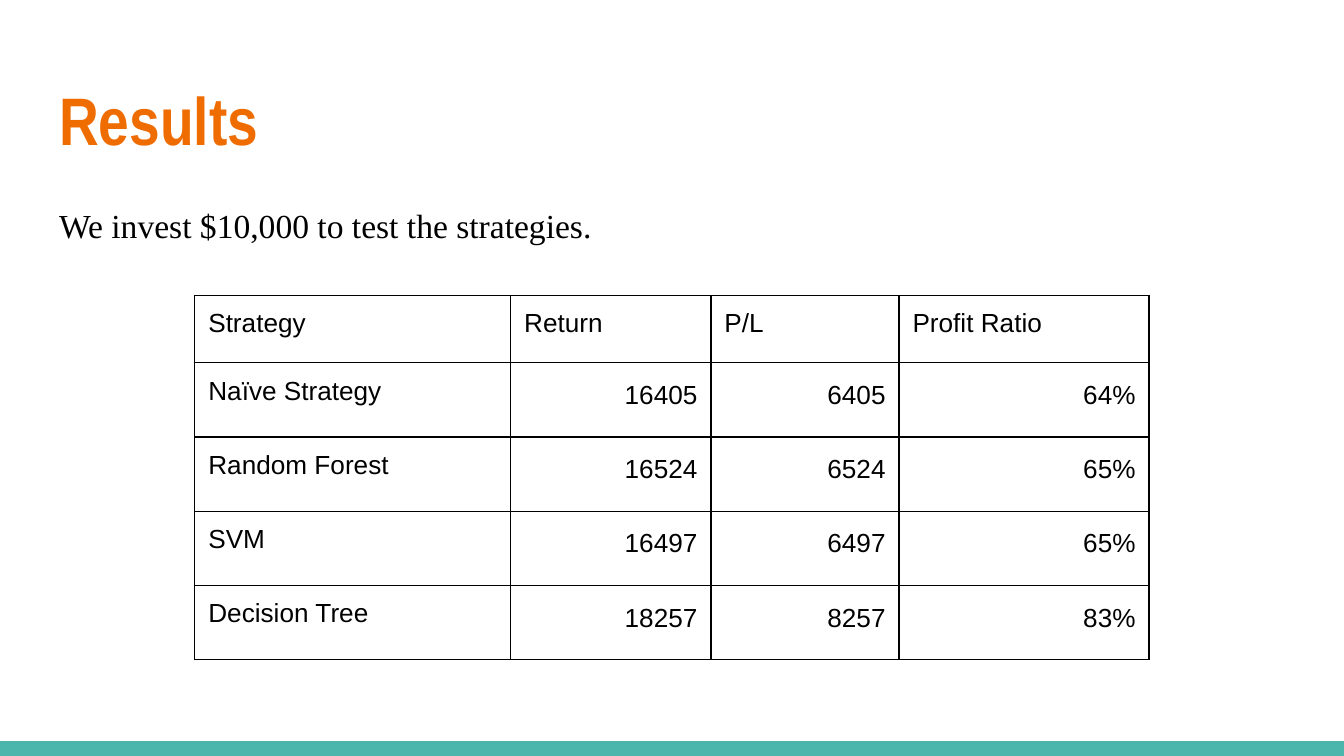
from lxml.etree import SubElement
from pptx import Presentation
from pptx.dml.color import RGBColor
from pptx.enum.shapes import MSO_SHAPE as SHAPE
from pptx.enum.text import MSO_ANCHOR as ANCHOR, PP_ALIGN as ALIGN
from pptx.oxml.ns import qn
from pptx.util import Inches, Pt

ORANGE = RGBColor(0xEF, 0x6C, 0x00)
TEAL = RGBColor(0x4D, 0xB6, 0xAC)
BLACK = RGBColor(0, 0, 0)

TITLE = "Results"
INTRO = "We invest $10,000 to test the strategies."
ROWS = [
    ("Strategy", "Return", "P/L", "Profit Ratio"),
    ("Naïve Strategy", "16405", "6405", "64%"),
    ("Random Forest", "16524", "6524", "65%"),
    ("SVM", "16497", "6497", "65%"),
    ("Decision Tree", "18257", "8257", "83%"),
]
COL_WIDTHS = [2.35, 1.49, 1.4, 1.86]
TABLE_HEIGHT, HEADER_HEIGHT = 2.71, 0.5
WIDTH = 10
HEIGHT = WIDTH * 9 / 16
BAR_HEIGHT = 0.11
PADDING = Inches(0.1)


def set_margins(box):
    """Pad a text frame or a table cell equally on all sides."""
    box.margin_left = box.margin_right = PADDING
    box.margin_top = box.margin_bottom = PADDING


def write(p, text, font, size, color=BLACK, bold=False):
    r = p.add_run()
    r.text = text
    r.font.name, r.font.size, r.font.bold = font, Pt(size), bold
    r.font.color.rgb = color


def place(ph, top, height, anchor):
    """Position a placeholder and return its first paragraph, left aligned."""
    ph.left, ph.top = Inches(0.34), Inches(top)
    ph.width, ph.height = Inches(9.32), Inches(height)
    tf = ph.text_frame
    tf.word_wrap, tf.vertical_anchor = True, anchor
    set_margins(tf)
    p = tf.paragraphs[0]
    p.alignment = ALIGN.LEFT
    p.space_before = Pt(0)
    return p


def add_borders(cell):
    tcPr = cell._tc.get_or_add_tcPr()
    for side in ("a:lnL", "a:lnR", "a:lnT", "a:lnB"):
        ln = SubElement(tcPr, qn(side), w=str(Pt(0.75)))
        fill = SubElement(ln, qn("a:solidFill"))
        SubElement(fill, qn("a:srgbClr"), val=str(BLACK))


def add_results_table(s):
    body_rows = len(ROWS) - 1
    row_height = (TABLE_HEIGHT - HEADER_HEIGHT) / body_rows
    heights = [HEADER_HEIGHT] + [row_height] * body_rows
    table = s.shapes.add_table(
        len(ROWS), len(COL_WIDTHS), Inches(1.45), Inches(2.2),
        Inches(sum(COL_WIDTHS)), Inches(TABLE_HEIGHT)).table
    table.first_row = table.horz_banding = False
    for column, width in zip(table.columns, COL_WIDTHS):
        column.width = Inches(width)
    for i, (values, height) in enumerate(zip(ROWS, heights)):
        table.rows[i].height = Inches(height)
        for j, value in enumerate(values):
            cell = table.cell(i, j)
            set_margins(cell)
            add_borders(cell)
            cell.fill.background()
            p = cell.text_frame.paragraphs[0]
            if i and j:
                p.alignment, p.line_spacing = ALIGN.RIGHT, 1.15
            write(p, value, "Arial", 14)


def main():
    prs = Presentation()
    prs.slide_width, prs.slide_height = Inches(WIDTH), Inches(HEIGHT)
    s = prs.slides.add_slide(prs.slide_layouts[1])

    bar = s.shapes.add_shape(
        SHAPE.RECTANGLE, 0, Inches(HEIGHT - BAR_HEIGHT),
        Inches(WIDTH), Inches(BAR_HEIGHT))
    bar.shadow.inherit = False
    bar.fill.solid()
    bar.fill.fore_color.rgb = TEAL
    bar.line.fill.background()

    p = place(s.shapes.title, 0.5, 0.77, ANCHOR.MIDDLE)
    write(p, TITLE, "Arial Narrow", 36, ORANGE, bold=True)

    p = place(s.placeholders[1], 1.38, 3.61, ANCHOR.TOP)
    p.line_spacing = 1.15
    pPr = p._p.get_or_add_pPr()
    pPr.set("marL", "0")
    pPr.set("indent", "0")
    SubElement(pPr, qn("a:buNone"))
    write(p, INTRO, "Times New Roman", 18)

    add_results_table(s)
    prs.save("out.pptx")


if __name__ == "__main__":
    main()
